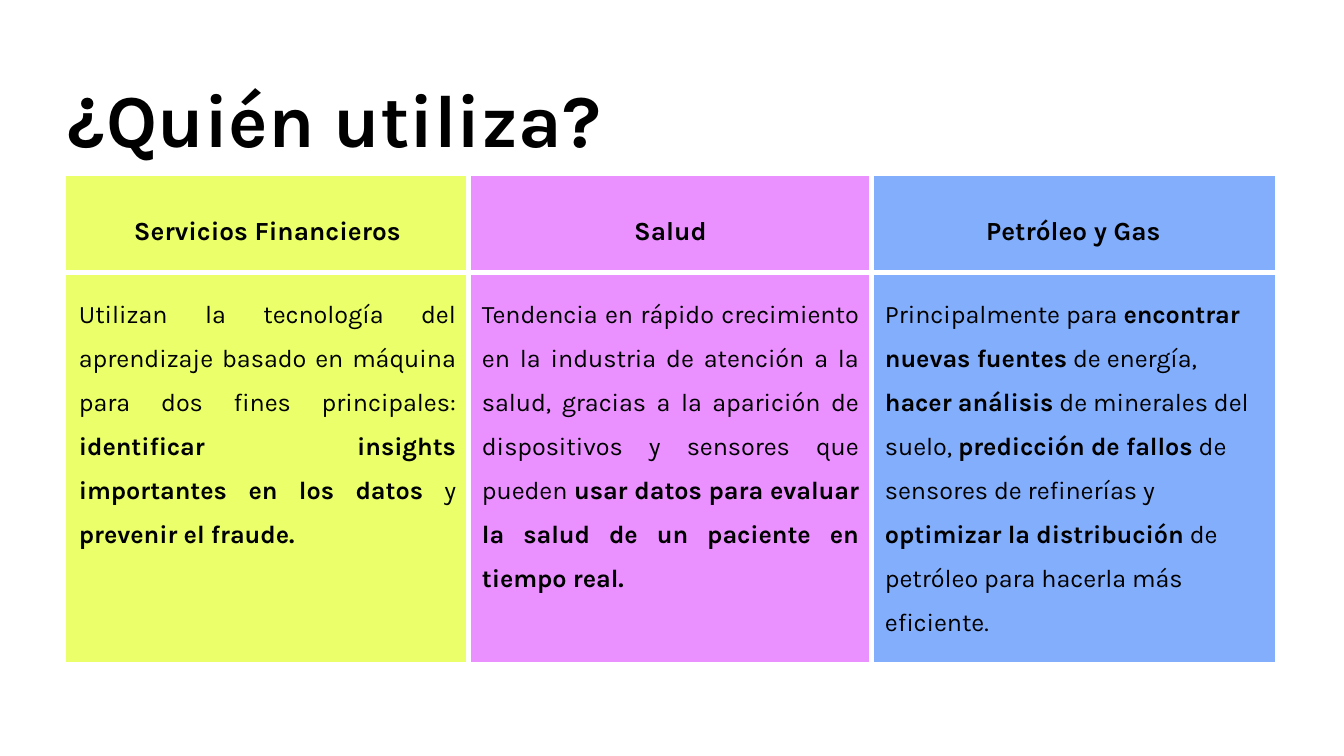
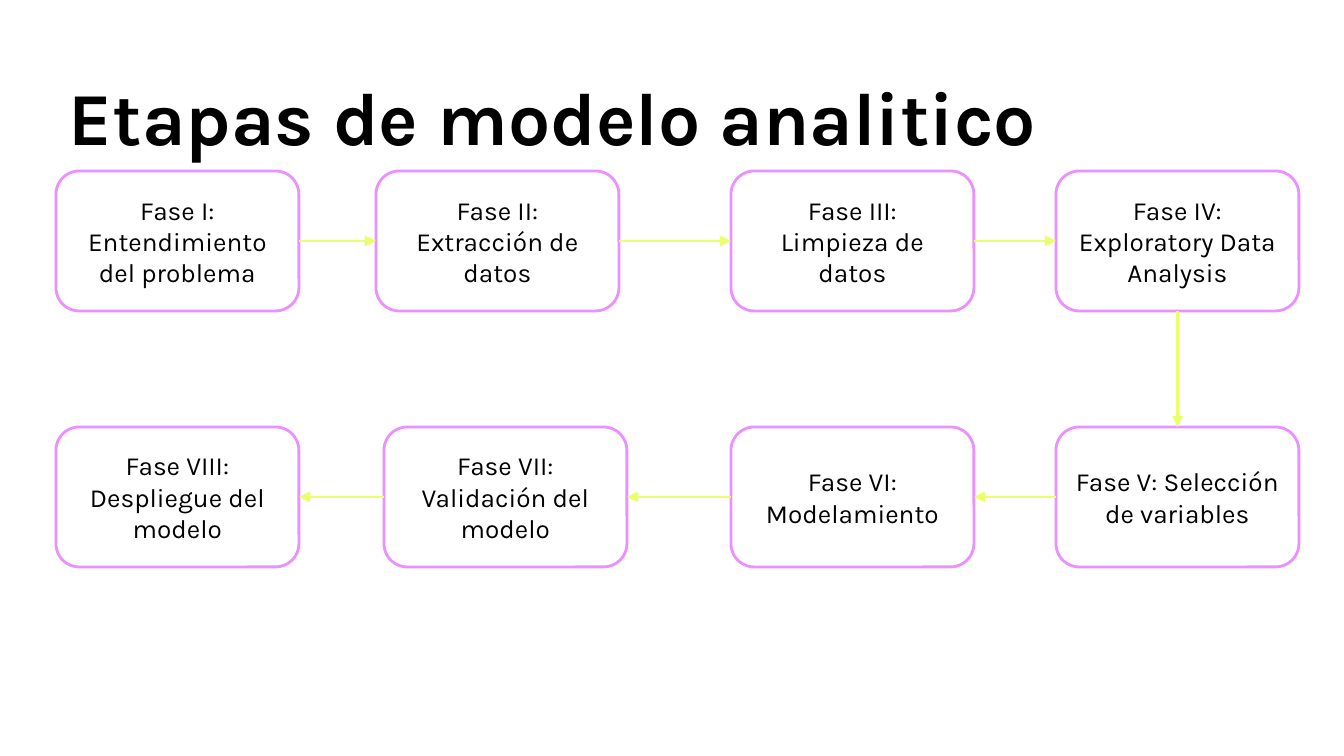
from itertools import pairwise

from lxml import etree
from pptx import Presentation
from pptx.dml.color import RGBColor
from pptx.enum.shapes import MSO_CONNECTOR, MSO_SHAPE
from pptx.enum.text import MSO_ANCHOR, MSO_AUTO_SIZE, PP_ALIGN
from pptx.oxml.ns import qn
from pptx.util import Emu, Pt

STRAIGHT = MSO_CONNECTOR.STRAIGHT
ROUNDED = MSO_SHAPE.ROUNDED_RECTANGLE
TOP, MIDDLE = MSO_ANCHOR.TOP, MSO_ANCHOR.MIDDLE
LEFT, CENTER, JUSTIFY = PP_ALIGN.LEFT, PP_ALIGN.CENTER, PP_ALIGN.JUSTIFY
TOP_SIDE, LEFT_SIDE, BOTTOM_SIDE, RIGHT_SIDE = range(4)

FONT = "Karla"
BLACK, WHITE = "000000", "FFFFFF"
LIME, PINK, BLUE = "EAFF6A", "EA90FF", "83AEFB"
PLAIN_TABLE = "{2D5ABB26-0587-4C30-8999-92F81FD0307C}"
INSET = 13

SECTORS = [
    ("Servicios Financieros", LIME, JUSTIFY, [
        ("Utilizan la tecnología del aprendizaje basado en máquina "
         "para dos fines principales: ", False),
        ("identificar insights importantes en los datos", True),
        (" y ", False),
        ("prevenir el fraude.", True),
    ]),
    ("Salud", PINK, JUSTIFY, [
        ("Tendencia en rápido crecimiento en la industria de atención a la "
         "salud, gracias a la aparición de dispositivos y sensores que "
         "pueden ", False),
        ("usar datos para evaluar la salud de un paciente en tiempo real.", True),
    ]),
    ("Petróleo y Gas", BLUE, LEFT, [
        ("Principalmente para ", False),
        ("encontrar nuevas fuentes", True),
        (" de energía, ", False),
        ("hacer análisis", True),
        (" de minerales del suelo, ", False),
        ("predicción de fallos", True),
        (" de sensores de refinerías y ", False),
        ("optimizar la distribución", True),
        (" de petróleo para hacerla más eficiente.", False),
    ]),
]
TABLE_LEFT, TABLE_TOP = 66, 176
COLUMN_WIDTH, ROW_HEIGHTS = 403, (97, 392)

UPPER, LOWER = 171, 427
PHASE_WIDTH, PHASE_HEIGHT = 243, 140
PHASES = [
    ("Fase I: Entendimiento del problema", 56, UPPER),
    ("Fase II: Extracción de datos", 376, UPPER),
    ("Fase III: Limpieza de datos", 731, UPPER),
    ("Fase IV: Exploratory Data Analysis", 1056, UPPER),
    ("Fase V: Selección de variables", 1056, LOWER),
    ("Fase VI: Modelamiento", 731, LOWER),
    ("Fase VII: Validación del modelo", 384, LOWER),
    ("Fase VIII: Despliegue del modelo", 56, LOWER),
]


def px(length):
    return Emu(round(length * 914400 / 134.4))


def color(value):
    return RGBColor.from_string(value)


def write(holder, runs, size=14, align=CENTER, anchor=MIDDLE, spacing=1.0):
    holder.margin_left = holder.margin_right = px(INSET)
    holder.margin_top = holder.margin_bottom = px(INSET)
    holder.vertical_anchor = anchor
    frame = getattr(holder, "text_frame", holder)
    paragraph = frame.paragraphs[0]
    paragraph.alignment = align
    paragraph.line_spacing = spacing
    for text, bold in runs:
        run = paragraph.add_run()
        run.text = text
        run.font.name = FONT
        run.font.size = Pt(size)
        run.font.bold = bold
        run.font.color.rgb = color(BLACK)


def add_titled_slide(deck, heading, left, top, width, height):
    slide = deck.slides.add_slide(deck.slide_layouts[5])
    title = slide.shapes.title
    title.left, title.top, title.width, title.height = map(px, (left, top, width, height))
    frame = title.text_frame
    frame.word_wrap = True
    frame.auto_size = MSO_AUTO_SIZE.NONE
    write(frame, [(heading, True)], size=40, align=LEFT, anchor=TOP, spacing=0.9)
    return slide


def add_border(cell, edge):
    border = etree.SubElement(cell._tc.get_or_add_tcPr(), qn(f"a:ln{edge}"), w=str(Pt(3)))
    fill = etree.SubElement(border, qn("a:solidFill"))
    etree.SubElement(fill, qn("a:srgbClr"), val=WHITE)


def add_sectors(slide):
    count = len(SECTORS)
    table = slide.shapes.add_table(
        len(ROW_HEIGHTS), count, px(TABLE_LEFT), px(TABLE_TOP),
        px(COLUMN_WIDTH * count), px(sum(ROW_HEIGHTS))).table
    table.first_row = table.horz_banding = False
    table._tbl.tblPr.find(qn("a:tableStyleId")).text = PLAIN_TABLE
    for row, height in zip(table.rows, ROW_HEIGHTS):
        row.height = px(height)
    for column, (sector, tint, align, usage) in enumerate(SECTORS):
        table.columns[column].width = px(COLUMN_WIDTH)
        header, body = table.cell(0, column), table.cell(1, column)
        write(header, [(sector, True)], spacing=1.5)
        write(body, usage, size=13.5, align=align, anchor=TOP, spacing=1.5)
        sides = ("L" if column > 0 else "") + ("R" if column < count - 1 else "")
        for cell, edges in ((header, sides + "B"), (body, sides + "TB")):
            for edge in edges:
                add_border(cell, edge)
            cell.fill.solid()
            cell.fill.fore_color.rgb = color(tint)


def add_phase(slide, label, left, top):
    phase = slide.shapes.add_shape(
        ROUNDED, px(left), px(top), px(PHASE_WIDTH), px(PHASE_HEIGHT))
    phase.shadow.inherit = False
    phase.fill.background()
    phase.line.color.rgb = color(PINK)
    phase.line.width = Pt(1.5)
    phase.text_frame.word_wrap = True
    write(phase.text_frame, [(label, False)])
    return phase


def add_arrow(slide, source, target):
    if source.left == target.left:
        start, end = BOTTOM_SIDE, TOP_SIDE
    elif source.left < target.left:
        start, end = RIGHT_SIDE, LEFT_SIDE
    else:
        start, end = LEFT_SIDE, RIGHT_SIDE
    arrow = slide.shapes.add_connector(STRAIGHT, 0, 0, 0, 0)
    arrow.begin_connect(source, start)
    arrow.end_connect(target, end)
    arrow.line.color.rgb = color(LIME)
    arrow.line.width = Pt(1.5)
    etree.SubElement(arrow.line._get_or_add_ln(), qn("a:tailEnd"), type="triangle")
    etree.SubElement(arrow._element.spPr, qn("a:effectLst"))


def main():
    deck = Presentation()
    deck.slide_width, deck.slide_height = px(1344), px(756)

    users = add_titled_slide(deck, "¿Quién utiliza?", 55, 70, 914, 190)
    add_sectors(users)

    stages = add_titled_slide(deck, "Etapas de modelo analitico", 56, 68, 1219, 60)
    phases = [add_phase(stages, *phase) for phase in PHASES]
    for source, target in pairwise(phases):
        add_arrow(stages, source, target)

    deck.save("out.pptx")


if __name__ == "__main__":
    main()
